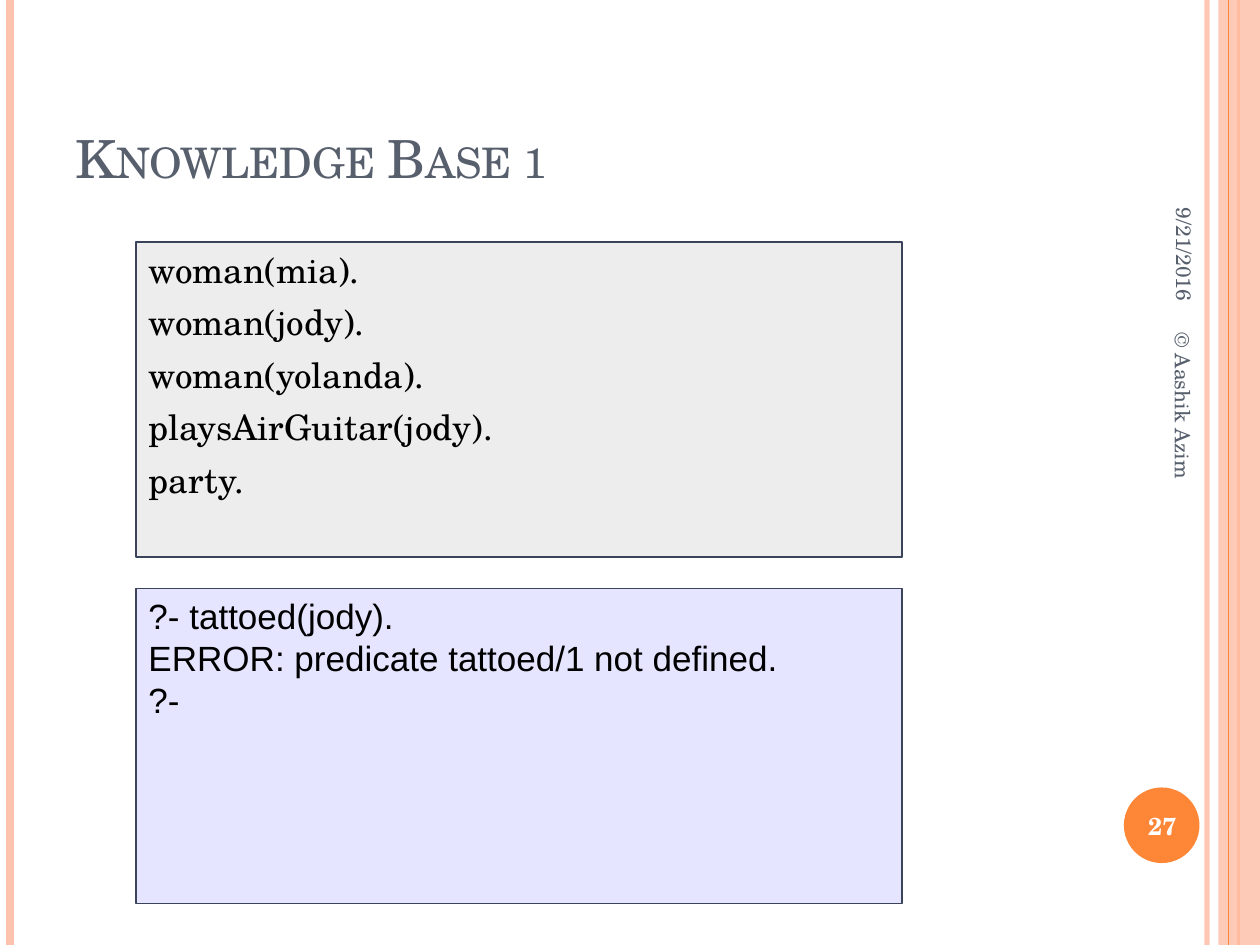
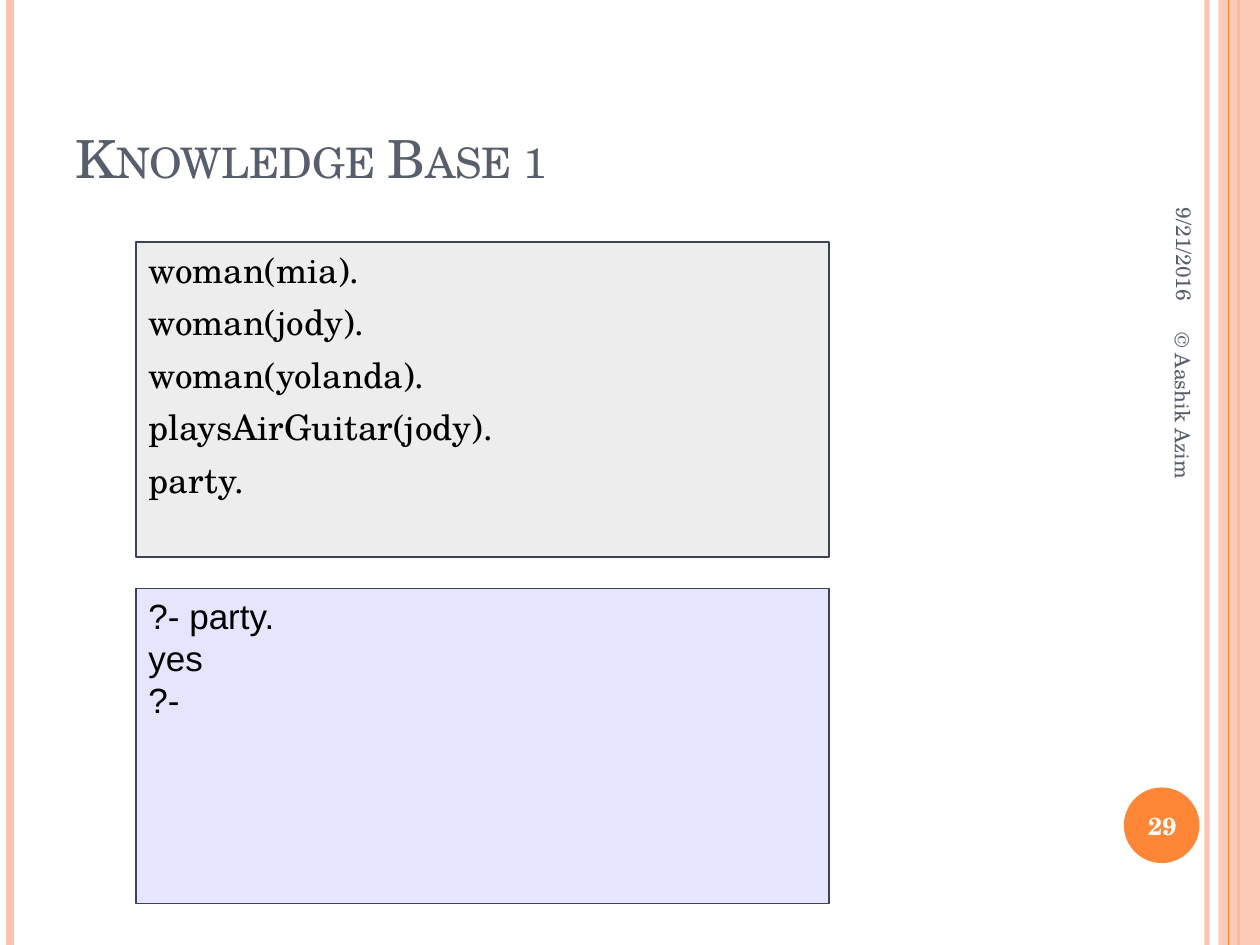
"""Build two Prolog slides that show a knowledge base and a query on it."""
from typing import NamedTuple

from pptx import Presentation
from pptx.dml.color import RGBColor
from pptx.enum.shapes import MSO_CONNECTOR, MSO_SHAPE
from pptx.enum.text import MSO_ANCHOR, MSO_AUTO_SIZE, PP_ALIGN
from pptx.oxml.ns import qn
from pptx.util import Emu, Pt

EMU_PER_PX = 9144
PAGE_WIDTH, PAGE_HEIGHT = 1000, 750
TITLE_AND_CONTENT = 1

STRAIGHT = MSO_CONNECTOR.STRAIGHT
RECTANGLE, OVAL = MSO_SHAPE.RECTANGLE, MSO_SHAPE.OVAL
LEFT, CENTER, RIGHT = PP_ALIGN.LEFT, PP_ALIGN.CENTER, PP_ALIGN.RIGHT
TOP, MIDDLE, BOTTOM = MSO_ANCHOR.TOP, MSO_ANCHOR.MIDDLE, MSO_ANCHOR.BOTTOM
NO_AUTOFIT = MSO_AUTO_SIZE.NONE

SERIF, SANS = "TeX Gyre Schola", "Arial"
ORANGE, PEACH, SLATE, NAVY = "FE8637", "FEC3AE", "575F6D", "3B435B"
BLACK, WHITE, GRAY, LAVENDER = "000000", "FFFFFF", "DDDDDD", "CCCCFF"


class Area(NamedTuple):
    left: int
    top: int
    width: int
    height: int


class Rail(NamedTuple):
    x: int
    color: str
    weight: float
    opacity: int = 100


class TextStyle(NamedTuple):
    font: str
    size: int
    color: str
    align: PP_ALIGN = LEFT
    anchor: MSO_ANCHOR = TOP
    bold: bool = False
    space_before: int = 0
    hanging: int = 0


class Label(NamedTuple):
    text: str
    area: Area
    style: TextStyle
    rotation: int = 0


class Lesson(NamedTuple):
    number: int
    panel_width: int
    session: list[str]


TITLE = "Knowledge Base 1"
FACTS = ["woman(mia).", "woman(jody).", "woman(yolanda).", "playsAirGuitar(jody).", "party."]
LESSONS = [
    Lesson(27, 608, ["?- tattoed(jody).", "ERROR: predicate tattoed/1 not defined.", "?-"]),
    Lesson(29, 550, ["?- party.", "yes", "?-"]),
]

TITLE_AREA = Area(50, 30, 817, 125)
PANEL_LEFT, PANEL_HEIGHT = 108, 250
FACTS_TOP, SESSION_TOP = 192, 467
BAND_AREA = Area(967, 0, 33, PAGE_HEIGHT)
DISC_AREA = Area(892, 625, 60, 60)
NUMBER_AREA = Area(889, 627, 67, 57)
RAILS_UNDER_BAND = [Rail(958, PEACH, 3, 93), Rail(8, PEACH, 4.5), Rail(983, ORANGE, 1.5)]
RAIL_OVER_BAND = Rail(975, ORANGE, 0.75)

TITLE_STYLE = TextStyle(SERIF, 30, SLATE, anchor=BOTTOM)
FACTS_STYLE = TextStyle(SERIF, 20, BLACK, space_before=6, hanging=30)
SESSION_STYLE = TextStyle(SANS, 20, BLACK, hanging=38)
FOOTER_STYLE = TextStyle(SERIF, 12, SLATE, anchor=MIDDLE)
DATE_STYLE = FOOTER_STYLE._replace(align=RIGHT)
NUMBER_STYLE = TextStyle(SERIF, 14, WHITE, CENTER, MIDDLE, bold=True)
MARGIN_LABELS = [
    Label("© Aashik Azim", Area(764, 409, 350, 40), FOOTER_STYLE, 90),
    Label("9/21/2016", Area(830, 118, 220, 42), DATE_STYLE, 90),
]


def px(length: int) -> Emu:
    """Turn pixels into EMU."""
    return Emu(length * EMU_PER_PX)


def rgb(color: str) -> RGBColor:
    """Turn a hex string into a colour."""
    return RGBColor.from_string(color)


def place(shape, area: Area) -> None:
    """Move and size a shape."""
    shape.left, shape.top, shape.width, shape.height = map(px, area)


def set_opacity(shape, percent: int) -> None:
    """Make the first colour of a shape translucent."""
    color = shape._element.spPr.xpath(".//a:srgbClr")[0]
    alpha = color.makeelement(qn("a:alpha"), {"val": str(percent * 1000)})
    color.append(alpha)


def write(shape, lines: list[str], style: TextStyle) -> None:
    """Fill a shape with unbulleted paragraphs of one style."""
    frame = shape.text_frame
    frame.text = "\n".join(lines)
    frame.word_wrap = True
    frame.auto_size = NO_AUTOFIT
    frame.vertical_anchor = style.anchor
    for para in frame.paragraphs:
        para.alignment = style.align
        para.space_before = Pt(style.space_before)
        properties = para._p.get_or_add_pPr()
        properties.set("marL", str(px(style.hanging)))
        properties.set("indent", str(px(-style.hanging)))
        properties.append(properties.makeelement(qn("a:buNone"), {}))
        font = para.font
        font.name, font.size, font.bold = style.font, Pt(style.size), style.bold
        font.color.rgb = rgb(style.color)


def draw_rail(page, rail: Rail) -> None:
    """Draw a line from the top to the bottom of the page."""
    line = page.shapes.add_connector(STRAIGHT, px(rail.x), 0, px(rail.x), px(PAGE_HEIGHT))
    line.line.color.rgb = rgb(rail.color)
    line.line.width = Pt(rail.weight)
    set_opacity(line, rail.opacity)
    properties = line._element.spPr
    properties.append(properties.makeelement(qn("a:effectLst"), {}))


def draw_shape(page, kind: MSO_SHAPE, area: Area, color: str, opacity: int = 100):
    """Draw a filled shape without outline or shadow."""
    shape = page.shapes.add_shape(kind, *map(px, area))
    shape.shadow.inherit = False
    shape.line.fill.background()
    paint(shape, color, opacity)
    return shape


def paint(shape, color: str, opacity: int) -> None:
    """Fill a shape with a translucent colour."""
    shape.fill.solid()
    shape.fill.fore_color.rgb = rgb(color)
    set_opacity(shape, opacity)


def draw_label(page, label: Label) -> None:
    """Add a text box, turned if needed."""
    box = page.shapes.add_textbox(*map(px, label.area))
    box.rotation = label.rotation
    write(box, [label.text], label.style)


def outline_panel(panel, lines: list[str], style: TextStyle) -> None:
    """Give a panel its border and its code."""
    panel.line.color.rgb = rgb(NAVY)
    panel.line.width = Pt(0.75)
    write(panel, lines, style)


def draw_frame(page, number: int) -> None:
    """Draw the rails, band, disc and margin labels of every page."""
    for rail in RAILS_UNDER_BAND:
        draw_rail(page, rail)
    draw_shape(page, RECTANGLE, BAND_AREA, PEACH, 87)
    draw_rail(page, RAIL_OVER_BAND)
    draw_shape(page, OVAL, DISC_AREA, ORANGE)
    for label in [*MARGIN_LABELS, Label(str(number), NUMBER_AREA, NUMBER_STYLE)]:
        draw_label(page, label)


def add_lesson(deck, lesson: Lesson) -> None:
    """Add a page with the facts and one session."""
    page = deck.slides.add_slide(deck.slide_layouts[TITLE_AND_CONTENT])
    draw_frame(page, lesson.number)

    title = page.shapes.title
    place(title, TITLE_AREA)
    write(title, [TITLE], TITLE_STYLE)
    title.text_frame.paragraphs[0].font._element.set("cap", "small")

    facts = page.placeholders[1]
    place(facts, Area(PANEL_LEFT, FACTS_TOP, lesson.panel_width, PANEL_HEIGHT))
    paint(facts, GRAY, 50)
    outline_panel(facts, FACTS, FACTS_STYLE)

    session_area = Area(PANEL_LEFT, SESSION_TOP, lesson.panel_width, PANEL_HEIGHT)
    session = draw_shape(page, RECTANGLE, session_area, LAVENDER, 50)
    outline_panel(session, lesson.session, SESSION_STYLE)


def main() -> None:
    """Build and save the deck."""
    deck = Presentation()
    deck.slide_width, deck.slide_height = px(PAGE_WIDTH), px(PAGE_HEIGHT)
    for lesson in LESSONS:
        add_lesson(deck, lesson)
    deck.save("out.pptx")


if __name__ == "__main__":
    main()
